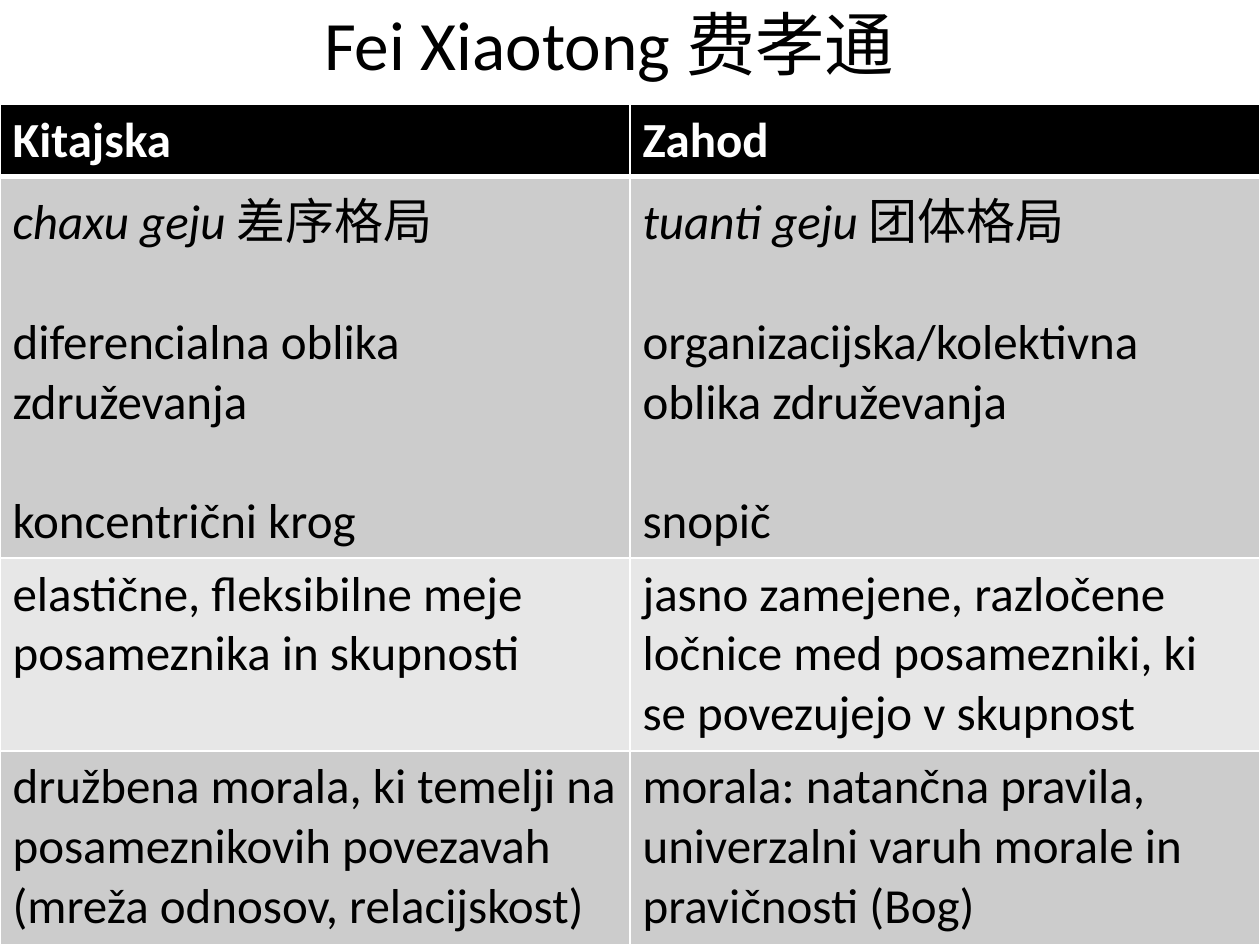
from lxml.etree import SubElement
from pptx import Presentation
from pptx.dml.color import RGBColor
from pptx.enum.text import MSO_ANCHOR, PP_ALIGN
from pptx.oxml.ns import qn
from pptx.util import Inches, Pt

COLORS = {"black": "000000", "white": "FFFFFF", "dark": "CCCCCC", "light": "E7E7E7"}
FONT = "Calibri"

# Each row: height, fill, text colour, then the paragraphs of both cells.
ROWS = [
    (0.57, "black", "white", [["Kitajska"], ["Zahod"]]),
    (3.03, "dark", "black", [
        ["chaxu geju 差序格局", "diferencialna oblika združevanja", "koncentrični krog"],
        ["tuanti geju 团体格局", "organizacijska/kolektivna oblika združevanja", "snopič"],
    ]),
    (1.53, "light", "black", [
        ["elastične, fleksibilne meje posameznika in skupnosti"],
        ["jasno zamejene, razločene ločnice med posamezniki, ki se povezujejo v skupnost"],
    ]),
    (1.54, "dark", "black", [
        ["družbena morala, ki temelji na posameznikovih povezavah (mreža odnosov, relacijskost)"],
        ["morala: natančna pravila, univerzalni varuh morale in pravičnosti (Bog)"],
    ]),
]


def style(font, size, color, bold=False):
    font.name = FONT
    font.size = Pt(size)
    font.bold = bold
    font.color.rgb = RGBColor.from_string(COLORS[color])


def border(cell, widths):
    """Draw white cell borders; widths maps a side tag to points."""
    props = cell._tc.get_or_add_tcPr()
    for at, (side, width) in enumerate(widths.items()):
        line = props.makeelement(qn(f"a:{side}"), {"w": str(Pt(width))})
        fill = SubElement(line, qn("a:solidFill"))
        SubElement(fill, qn("a:srgbClr"), val=COLORS["white"])
        props.insert(at, line)


prs = Presentation()
prs.slide_width, prs.slide_height = Inches(10), Inches(7.5)
slide = prs.slides.add_slide(prs.slide_layouts[6])

title = slide.shapes.add_textbox(Inches(0.42), Inches(0.01), Inches(8.83), Inches(0.66))
frame = title.text_frame
frame.word_wrap = True
frame.vertical_anchor = MSO_ANCHOR.MIDDLE
frame.text = "Fei Xiaotong 费孝通"
frame.paragraphs[0].alignment = PP_ALIGN.CENTER
style(frame.paragraphs[0].runs[0].font, 39.6, "black")

height = sum(row[0] for row in ROWS)
table = slide.shapes.add_table(
    len(ROWS), 2, Inches(0), Inches(0.83), Inches(10), Inches(height)).table
for col in table.columns:
    col.width = Inches(5)

for r, (tall, fill, color, texts) in enumerate(ROWS):
    table.rows[r].height = Inches(tall)
    for c, lines in enumerate(texts):
        cell = table.cell(r, c)
        cell.fill.solid()
        cell.fill.fore_color.rgb = RGBColor.from_string(COLORS[fill])
        border(cell, {"lnL": 1, "lnR": 1, "lnT": 3 if r == 1 else 1, "lnB": 3 if r == 0 else 1})
        cell.text_frame.text = "\n".join(lines)
        for n, para in enumerate(cell.text_frame.paragraphs):
            if n:
                para.space_before = Pt(34)
            for run in para.runs:
                style(run.font, 28, color, bold=r == 0)

# The Chinese terms follow their italic transcription in the same paragraph.
for c in range(2):
    para = table.cell(1, c).text_frame.paragraphs[0]
    latin, term = para.text.rsplit(" ", 1)
    para.runs[0].text = latin + " "
    para.runs[0].font.italic = True
    run = para.add_run()
    run.text = term
    style(run.font, 28, "black")

prs.save("out.pptx")
